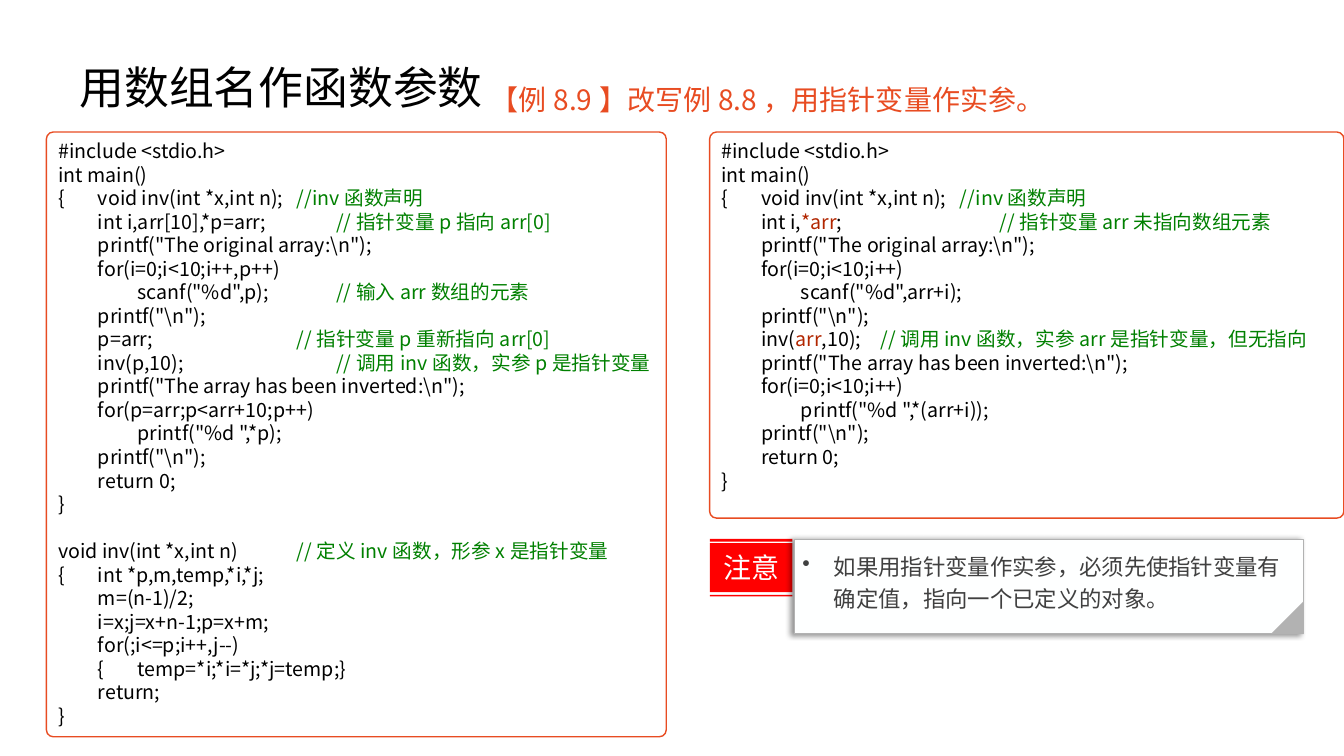
from lxml import etree
from pptx import Presentation
from pptx.dml.color import RGBColor
from pptx.enum.shapes import MSO_SHAPE
from pptx.enum.text import MSO_ANCHOR, PP_ALIGN
from pptx.oxml.ns import qn
from pptx.util import Pt

RECTANGLE = MSO_SHAPE.RECTANGLE
ROUNDED = MSO_SHAPE.ROUNDED_RECTANGLE
TRIANGLE = MSO_SHAPE.RIGHT_TRIANGLE
TOP, MIDDLE = MSO_ANCHOR.TOP, MSO_ANCHOR.MIDDLE
LEFT, CENTER = PP_ALIGN.LEFT, PP_ALIGN.CENTER

BLACK = RGBColor(0x00, 0x00, 0x00)
WHITE = RGBColor(0xFF, 0xFF, 0xFF)
NOTE_WHITE = RGBColor(0xFE, 0xFF, 0xFF)
ORANGE = RGBColor(0xE8, 0x4C, 0x22)
GREEN = RGBColor(0x00, 0x80, 0x00)
DARK_RED = RGBColor(0xB2, 0x26, 0x00)
RED = RGBColor(0xFF, 0x00, 0x00)
GREY = RGBColor(0xB2, 0xB2, 0xB2)
DARK_GREY = RGBColor(0x40, 0x40, 0x40)

FONT = "Noto Sans CJK SC"
CODE_PITCH = 16.8
TAB_WIDTH = 28.35
TAB_COUNT = 8

POINTER_CODE = [
    "#include <stdio.h>",
    "int main()",
    "{\tvoid inv(int *x,int n);\t//inv函数声明",
    "\tint i,arr[10],*p=arr;\t\t//指针变量p指向arr[0]",
    "\tprintf(\"The original array:\\n\");",
    "\tfor(i=0;i<10;i++,p++)",
    "\t\tscanf(\"%d\",p);\t\t//输入arr数组的元素",
    "\tprintf(\"\\n\");",
    "\tp=arr;\t\t\t\t//指针变量p重新指向arr[0]",
    "\tinv(p,10);\t\t\t\t//调用inv函数，实参p是指针变量",
    "\tprintf(\"The array has been inverted:\\n\");",
    "\tfor(p=arr;p<arr+10;p++)",
    "\t\tprintf(\"%d \",*p);",
    "\tprintf(\"\\n\");",
    "\treturn 0;",
    "}",
]
INVERT_CODE = [
    "void inv(int *x,int n)\t\t//定义inv函数，形参x是指针变量",
    "{\tint *p,m,temp,*i,*j;",
    "\tm=(n-1)/2;",
    "\ti=x;j=x+n-1;p=x+m;",
    "\tfor(;i<=p;i++,j--)",
    "\t{\ttemp=*i;*i=*j;*j=temp;}",
    "\treturn;",
    "}",
]
UNSET_CODE = [
    "#include <stdio.h>",
    "int main()",
    "{\tvoid inv(int *x,int n);\t//inv函数声明",
    "\tint i,*arr;\t\t\t\t//指针变量arr未指向数组元素",
    "\tprintf(\"The original array:\\n\");",
    "\tfor(i=0;i<10;i++)",
    "\t\tscanf(\"%d\",arr+i);",
    "\tprintf(\"\\n\");",
    "\tinv(arr,10);\t//调用inv函数，实参arr是指针变量，但无指向",
    "\tprintf(\"The array has been inverted:\\n\");",
    "\tfor(i=0;i<10;i++)",
    "\t\tprintf(\"%d \",*(arr+i));",
    "\tprintf(\"\\n\");",
    "\treturn 0;",
    "}",
]
UNSET_HIGHLIGHTS = {3: "*arr", 8: "arr"}


def style_span(span, size, color):
    span.font.size = Pt(size)
    span.font.name = FONT
    span.font.color.rgb = color
    east_asian = etree.SubElement(span.font._element, qn("a:ea"))
    east_asian.set("typeface", FONT)


def write_text(shape, text, size, color, anchor=TOP, align=LEFT, spacing=1.0):
    frame = shape.text_frame
    frame.word_wrap = True
    frame.vertical_anchor = anchor
    frame.text = text
    para = frame.paragraphs[0]
    para.alignment = align
    para.line_spacing = spacing
    style_span(para.runs[0], size, color)
    return para


def paint(shape, fill, line=None, width=1):
    shape.shadow.inherit = False
    shape.fill.solid()
    shape.fill.fore_color.rgb = fill
    if line is None:
        shape.line.fill.background()
    else:
        shape.line.color.rgb = line
        shape.line.width = Pt(width)


def hang(para, indent, bullet=None):
    properties = para._p.get_or_add_pPr()
    properties.set("marL", str(Pt(indent)))
    properties.set("indent", str(-Pt(indent)))
    if bullet:
        etree.SubElement(properties, qn("a:buChar")).set("char", bullet)


def add_tabs(para):
    tabs = etree.SubElement(para._p.get_or_add_pPr(), qn("a:tabLst"))
    for number in range(1, TAB_COUNT + 1):
        tab = etree.SubElement(tabs, qn("a:tab"))
        tab.set("pos", str(Pt(TAB_WIDTH * number)))
        tab.set("algn", "l")


def split_colors(line, highlight):
    code, slashes, comment = line.partition("//")
    before, marked, after = code.partition(highlight) if highlight else (code, "", "")
    pieces = [(before, BLACK), (marked, DARK_RED), (after, BLACK), (slashes + comment, GREEN)]
    return [piece for piece in pieces if piece[0]]


def add_heading(page, left, top, width, height):
    title = page.shapes.add_textbox(Pt(left), Pt(top), Pt(width), Pt(height))
    write_text(title, "用数组名作函数参数", 32, BLACK, anchor=MIDDLE, spacing=0.9)
    example = page.shapes.add_textbox(Pt(left + 293.8), Pt(top + 23.8), Pt(449.3), Pt(43.2))
    para = write_text(example, "【例8.9】改写例8.8，用指针变量作实参。", 20, ORANGE, spacing=1.2)
    hang(para, 7.2)


def add_code_box(page, left, top, width, height, blocks, highlights):
    box = page.shapes.add_shape(ROUNDED, Pt(left), Pt(top), Pt(width), Pt(height))
    box.adjustments[0] = 5 / min(width, height)
    paint(box, WHITE, ORANGE)
    frame = box.text_frame
    frame.word_wrap = True
    frame.vertical_anchor = TOP
    lines = [line for block in blocks for line in block]
    for index, line in enumerate(lines):
        para = frame.add_paragraph() if index else frame.paragraphs[0]
        add_tabs(para)
        para.alignment = LEFT
        para.line_spacing = Pt(CODE_PITCH)
        if index == len(blocks[0]):
            para.space_before = Pt(CODE_PITCH)
        for text, color in split_colors(line, highlights.get(index)):
            span = para.add_run()
            span.text = text
            style_span(span, 14, color)


def add_shadow(shape):
    effects = shape._element.spPr.find(qn("a:effectLst"))
    shadow = etree.SubElement(effects, qn("a:outerShdw"), blurRad=str(Pt(4)),
                              dist=str(Pt(3)), dir="10800000", algn="r", rotWithShape="0")
    color = etree.SubElement(shadow, qn("a:srgbClr"), val="000000")
    etree.SubElement(color, qn("a:alpha"), val="40000")


def add_note(page, left, top, width, height):
    group = page.shapes.add_group_shape()
    label_width = 59
    builder = None
    for bar_top, bar_bottom in ((39.6, 41), (2.9, 37.4), (0, 1.4)):
        upper, lower, right = top + bar_top, top + bar_bottom, left + label_width
        if builder is None:
            builder = group.shapes.build_freeform(left, upper, scale=Pt(1))
        else:
            builder.move_to(left, upper)
        builder.add_line_segments([(right, upper), (right, lower), (left, lower)])
    label = builder.convert_to_shape()
    paint(label, RED)
    write_text(label, "注意", 20, NOTE_WHITE, anchor=MIDDLE, align=CENTER)

    card_left = left + label_width + 1.5
    card = group.shapes.add_shape(RECTANGLE, Pt(card_left), Pt(top),
                                  Pt(left + width - card_left), Pt(height))
    paint(card, NOTE_WHITE, GREY, 0.75)
    add_shadow(card)
    frame = card.text_frame
    frame.margin_left = frame.margin_right = frame.margin_top = frame.margin_bottom = Pt(5.76)
    para = write_text(card, "如果用指针变量作实参，必须先使指针变量有确定值，指向一个已定义的对象。",
                      16, DARK_GREY, spacing=1.2)
    para.space_after = Pt(6)
    hang(para, 22.5, "•")

    fold_size = 23.4
    fold = group.shapes.add_shape(TRIANGLE, Pt(left + width - fold_size),
                                  Pt(top + height - fold_size), Pt(fold_size), Pt(fold_size))
    fold.rotation = 270
    paint(fold, GREY)


def main():
    deck = Presentation()
    deck.slide_width, deck.slide_height = Pt(960), Pt(540)
    page = deck.slides.add_slide(deck.slide_layouts[6])
    add_heading(page, 49.7, 26.6, 828, 74.9)
    add_code_box(page, 33.1, 94.3, 442.8, 432, [POINTER_CODE, INVERT_CODE], {})
    add_code_box(page, 506.9, 94.3, 453.1, 275.8, [UNSET_CODE], UNSET_HIGHLIGHTS)
    add_note(page, 506.9, 385.2, 424.2, 67.7)
    deck.save("out.pptx")


if __name__ == "__main__":
    main()
